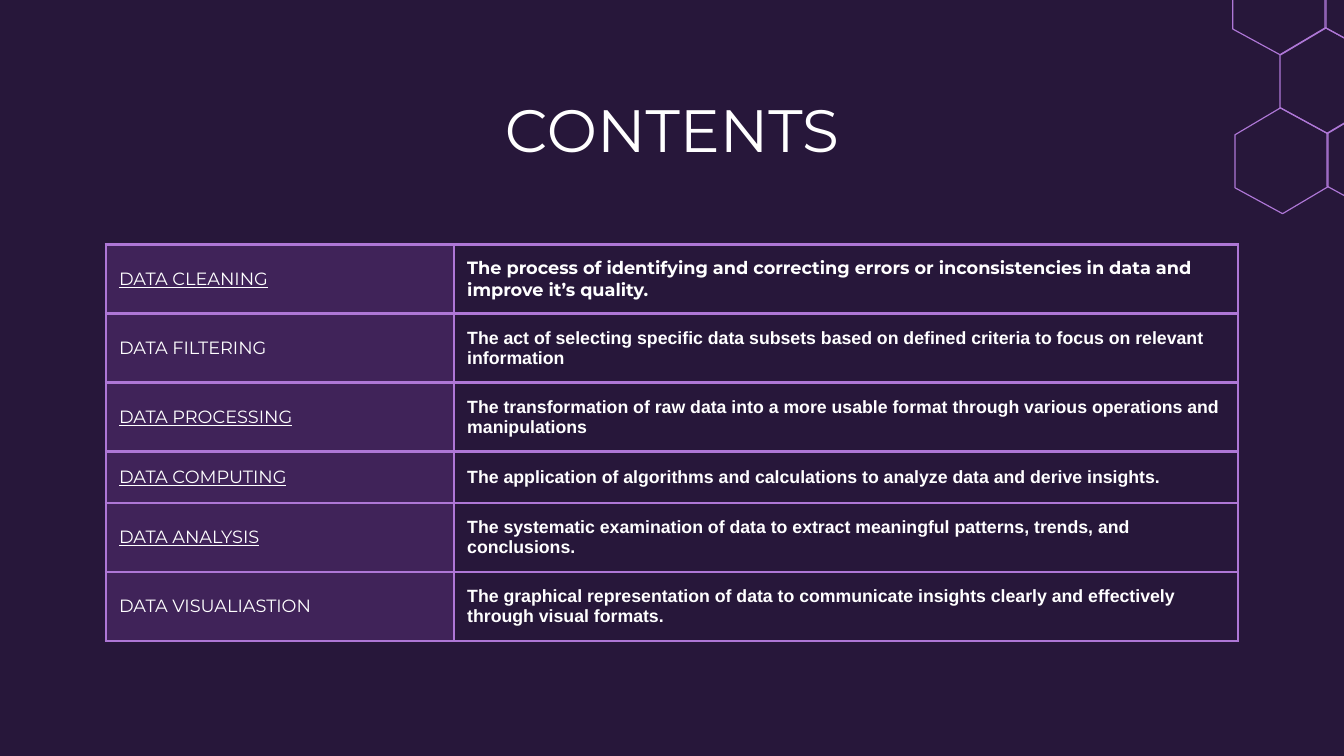
from lxml import etree
from pptx import Presentation
from pptx.dml.color import RGBColor
from pptx.enum.text import MSO_ANCHOR, PP_ALIGN
from pptx.oxml.ns import qn
from pptx.util import Cm, Pt

MIDDLE = MSO_ANCHOR.MIDDLE
TOP = MSO_ANCHOR.TOP
CENTER = PP_ALIGN.CENTER
LILAC = "AE77D6"
PAD = Cm(0.25)
MARGINS = {f"margin_{side}": PAD for side in ("left", "right", "top", "bottom")}


def color(code):
    return RGBColor.from_string(code)


def write(para, text, look):
    run = para.add_run()
    run.text = text
    run.font.color.rgb = color("FFFFFF")
    for key, value in look.items():
        setattr(run.font, key, value)


deck = Presentation()
deck.slide_width, deck.slide_height = Cm(25.4), Cm(14.29)
slide = deck.slides.add_slide(deck.slide_layouts[6])
slide.background.fill.solid()
slide.background.fill.fore_color.rgb = color("27173A")

# Honeycomb in the top right corner: column and row of each cell
half = [(0.88, -0.51), (0.88, 0.49), (0.02, 1)]
corners = half + [(-x, -y) for x, y in half]
for col, row in [(0, 0), (1, 0), (0.5, 1), (0, 2), (1, 2)]:
    mid_x = 24.22 + 1.74 * col - 0.02 * row
    mid_y = 3.04 - 0.03 * col - 1.5 * row
    points = [(Cm(mid_x + x), Cm(mid_y + y)) for x, y in corners]
    path = slide.shapes.build_freeform(*points[0])
    path.add_line_segments(points[1:], close=True)
    hexagon = path.convert_to_shape()
    hexagon.shadow.inherit = False
    hexagon.fill.background()
    hexagon.line.color.rgb = color(LILAC)
    hexagon.line.width = Pt(0.61)

# Title
title = slide.shapes.add_textbox(Cm(2), Cm(1.5), Cm(21.4), Cm(1.6)).text_frame
for key, value in {**MARGINS, "word_wrap": True, "vertical_anchor": TOP}.items():
    setattr(title, key, value)
title.paragraphs[0].alignment = CENTER
write(title.paragraphs[0], "CONTENTS", {"name": "Montserrat", "size": Pt(32)})

# Topics: name, underlined, font of the meaning, space after, meaning
topics = [
    ("DATA CLEANING", True, "Montserrat", 16,
     "The process of identifying and correcting errors or inconsistencies in data and improve it’s quality."),
    ("DATA FILTERING", False, "Arial", 16,
     "The act of selecting specific data subsets based on defined criteria to focus on relevant information"),
    ("DATA PROCESSING", True, "Arial", 16,
     "The transformation of raw data into a more usable format through various operations and manipulations"),
    ("DATA COMPUTING", True, "Arial", 16,
     "The application of algorithms and calculations to analyze data and derive insights."),
    ("DATA ANALYSIS", True, "Arial", 0,
     "The systematic examination of data to extract meaningful patterns, trends, and conclusions."),
    ("DATA VISUALIASTION", False, "Arial", 16,
     "The graphical representation of data to communicate insights clearly and effectively through visual formats."),
]

# Table
table = slide.shapes.add_table(len(topics), 2, Cm(2), Cm(4.62), Cm(21.4), Cm(5.6)).table
table.first_row = table.horz_banding = False
table.columns[0].width, table.columns[1].width = Cm(6.58), Cm(14.82)
for row in table.rows:
    row.height = Cm(0.97)
table.rows[len(topics) - 1].height = Cm(0.79)

for index, (name, under, face, after, meaning) in enumerate(topics):
    left, right = table.cell(index, 0), table.cell(index, 1)
    size = Pt(9.5)
    write(left.text_frame.paragraphs[0], name,
          {"name": "Montserrat", "size": size, "bold": False, "underline": under})
    para = right.text_frame.paragraphs[0]
    para.space_after = Pt(after)
    write(para, meaning, {"name": face, "size": size, "bold": True})

    # Translucent fill for the name only
    left.fill.solid()
    left.fill.fore_color.rgb = color("733C9B")
    tint = left.fill._xPr.find(qn("a:solidFill"))[0]
    etree.SubElement(tint, qn("a:alpha"), val="33000")
    right.fill.background()

    # Margins and borders
    for cell in (left, right):
        for key, value in {**MARGINS, "vertical_anchor": MIDDLE}.items():
            setattr(cell, key, value)
        props = cell._tc.get_or_add_tcPr()
        for place, edge in enumerate(("lnL", "lnR", "lnT", "lnB")):
            line = etree.Element(qn("a:" + edge), w=str(Pt(1.5)))
            paint = etree.SubElement(line, qn("a:solidFill"))
            etree.SubElement(paint, qn("a:srgbClr"), val=LILAC)
            props.insert(place, line)

deck.save("out.pptx")
